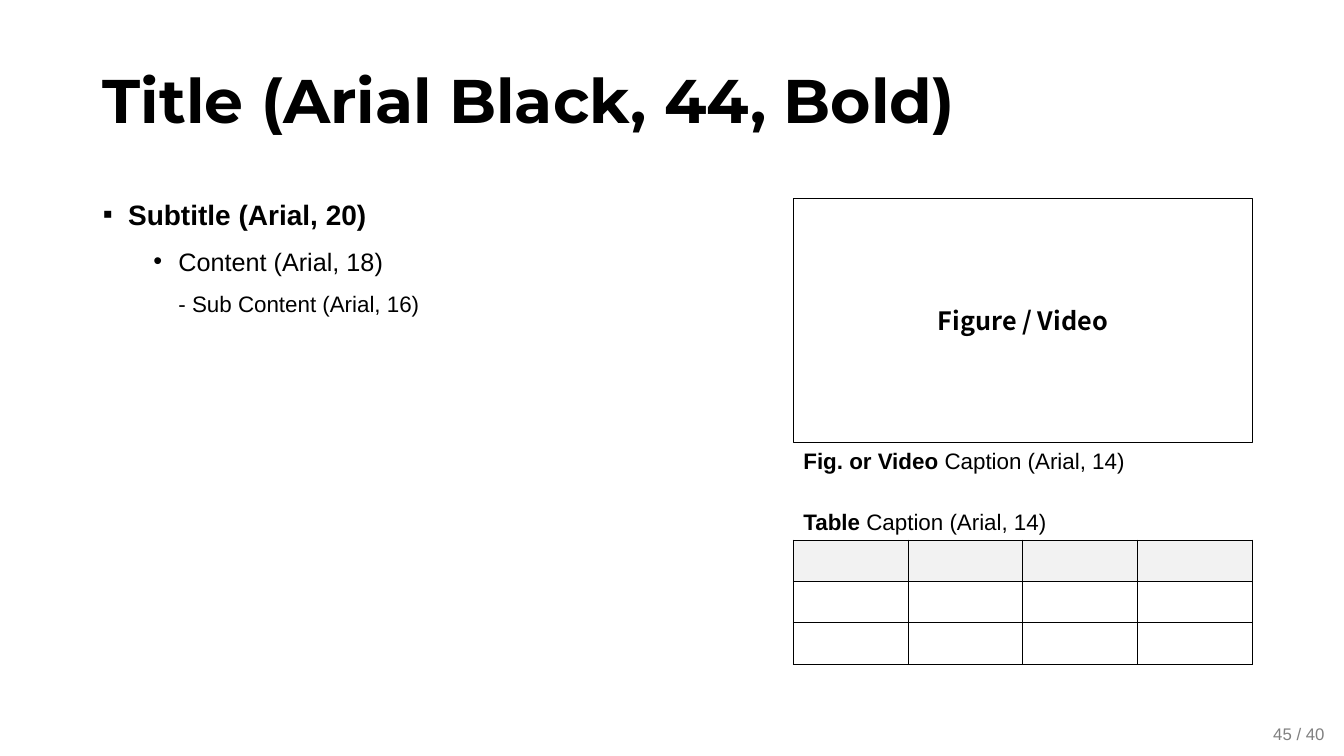
from pptx import Presentation
from pptx.dml.color import RGBColor
from pptx.enum.shapes import MSO_SHAPE
from pptx.enum.text import MSO_ANCHOR, MSO_AUTO_SIZE, PP_ALIGN
from pptx.oxml import parse_xml
from pptx.oxml.ns import nsdecls
from pptx.util import Inches, Pt

BLACK, GRAY, PALE = "000000", "808080", "F2F2F2"
LEFT, SIDE, WIDE, HALF = 0.92, 7.87, 11.5, 4.55
ROWS, COLS, ROW = 3, 4, 0.41


def color(code):
    return RGBColor.from_string(code)


def write(par, text, size=16, font="Arial", tint=BLACK, bold=False, align=PP_ALIGN.LEFT, space=1.0):
    par.alignment = align
    par.line_spacing = space
    par.space_before = par.space_after = Pt(0)
    run = par.add_run()
    run.text = text
    run.font.size = Pt(size)
    run.font.name = font
    run.font.bold = bold
    run.font.color.rgb = color(tint)


deck = Presentation()
deck.slide_width, deck.slide_height = Inches(13.33), Inches(7.5)
slide = deck.slides.add_slide(deck.slide_layouts[1])
shapes = slide.shapes

title, body = shapes.title, slide.placeholders[1]
for holder, top, tall in [(title, 0.3, 1.45), (body, 1.74, 5.35)]:
    holder.left, holder.top = Inches(LEFT), Inches(top)
    holder.width, holder.height = Inches(WIDE), Inches(tall)
    holder.text_frame.auto_size = MSO_AUTO_SIZE.NONE
title.text_frame.vertical_anchor = MSO_ANCHOR.MIDDLE
write(title.text_frame.paragraphs[0], "Title (Arial Black, 44, Bold)",
      size=44, font="Montserrat", bold=True, space=0.9)

frame = body.text_frame
head, item = frame.paragraphs[0], frame.add_paragraph()
item.level = 1
write(head, "Subtitle (Arial, 20)", size=20, bold=True, space=1.5)
write(item, "Content (Arial, 18)", size=18, space=1.5)
item.add_line_break()
write(item, "- Sub Content (Arial, 16)", space=1.5)
for par, mark, inset in [(head, "▪", 0.25), (item, "•", 0.75)]:
    props = par._p.get_or_add_pPr()
    props.set("marL", str(Inches(inset)))
    props.set("indent", str(Inches(-0.25)))
    props.append(parse_xml(f'<a:buFont {nsdecls("a")} typeface="Arial"/>'))
    props.append(parse_xml(f'<a:buChar {nsdecls("a")} char="{mark}"/>'))

figure = shapes.add_shape(MSO_SHAPE.RECTANGLE, Inches(SIDE), Inches(1.97), Inches(HALF), Inches(2.42))
figure.shadow.inherit = False
figure.fill.background()
figure.line.color.rgb = color(BLACK)
figure.line.width = Pt(1)
figure.text_frame.vertical_anchor = MSO_ANCHOR.MIDDLE
write(figure.text_frame.paragraphs[0], "Figure / Video", size=18,
      font="Noto Sans CJK KR", bold=True, align=PP_ALIGN.CENTER)

for top, label in [(4.39, "Fig. or Video"), (4.99, "Table")]:
    box = shapes.add_textbox(Inches(SIDE), Inches(top), Inches(HALF), Inches(0.37))
    box.text_frame.word_wrap = True
    par = box.text_frame.paragraphs[0]
    write(par, label, bold=True)
    write(par, " Caption (Arial, 14)")

table = shapes.add_table(ROWS, COLS, Inches(SIDE), Inches(5.36), Inches(HALF), Inches(ROWS * ROW)).table
for row in range(ROWS):
    for col in range(COLS):
        cell = table.cell(row, col)
        props = cell._tc.get_or_add_tcPr()
        for edge in ("lnL", "lnR", "lnT", "lnB"):
            props.append(parse_xml(
                f'<a:{edge} {nsdecls("a")} w="{Pt(1)}"><a:solidFill>'
                f'<a:srgbClr val="{BLACK}"/></a:solidFill></a:{edge}>'))
        if row == 0:
            cell.fill.solid()
            cell.fill.fore_color.rgb = color(PALE)
        else:
            cell.fill.background()

page = shapes.add_textbox(Inches(12.53), Inches(7.13), Inches(0.73), Inches(0.3))
page.text_frame.word_wrap = False
write(page.text_frame.paragraphs[0], "45 / 40", size=12, tint=GRAY)

deck.save("out.pptx")
